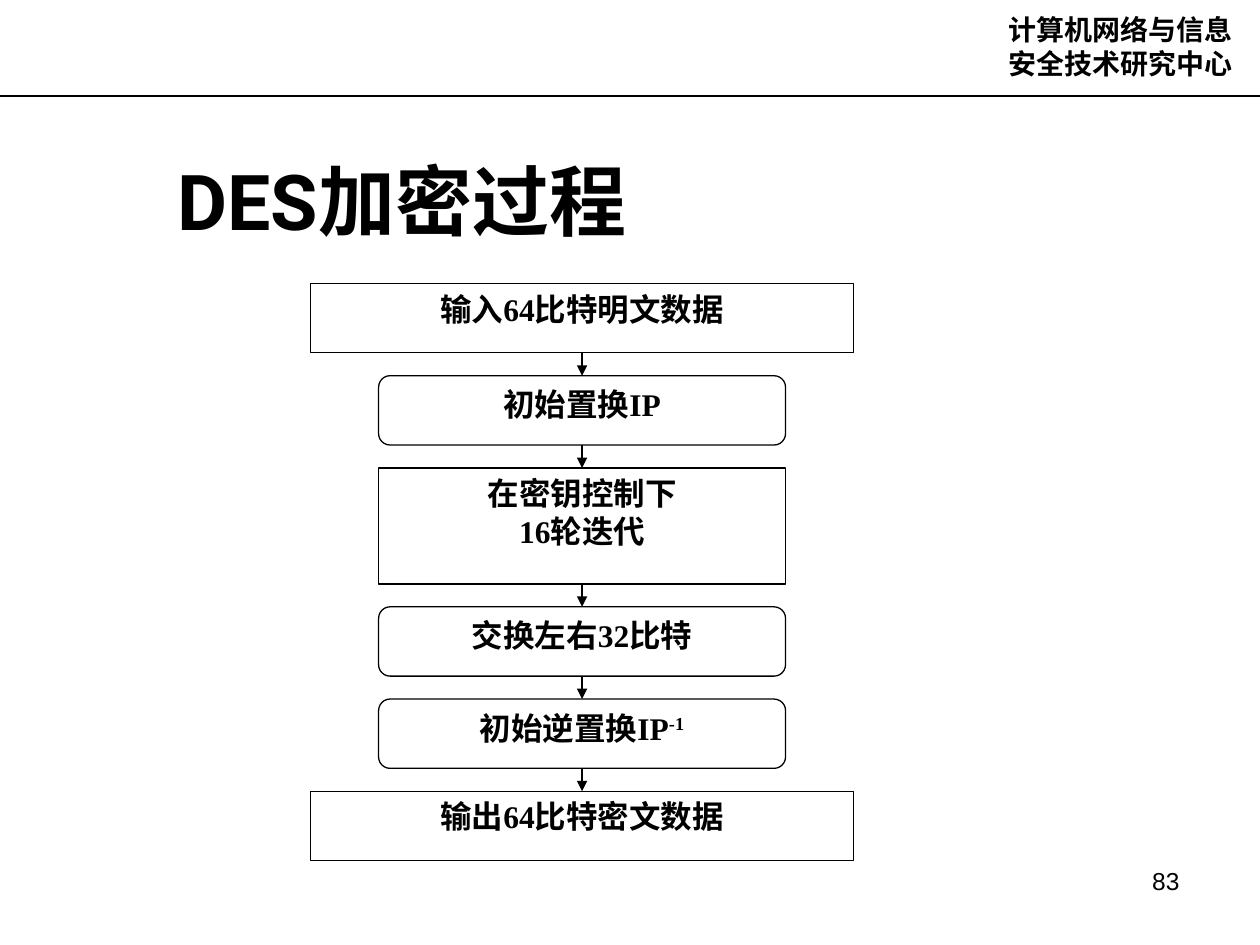
from dataclasses import dataclass

from lxml.etree import SubElement
from pptx import Presentation
from pptx.dml.color import RGBColor
from pptx.enum.shapes import MSO_CONNECTOR, MSO_SHAPE
from pptx.enum.text import MSO_ANCHOR, PP_ALIGN
from pptx.oxml.ns import qn
from pptx.util import Inches, Pt

# Content
CENTER_NAME = "计算机网络与信息安全技术研究中心"
TITLE = "DES加密过程"
PAGE_NUMBER = "83"
# Each step: kind, lines, superscript after the last line
STEPS = [
    ("data", ["输入64比特明文数据"], ""),
    ("permute", ["初始置换IP"], ""),
    ("rounds", ["在密钥控制下", "16轮迭代"], ""),
    ("permute", ["交换左右32比特"], ""),
    ("permute", ["初始逆置换IP"], "-1"),
    ("data", ["输出64比特密文数据"], ""),
]
# Each kind: preset shape, width, height
KINDS = {
    "data": (MSO_SHAPE.RECTANGLE, 4.31, 0.55),
    "permute": (MSO_SHAPE.ROUNDED_RECTANGLE, 3.23, 0.55),
    "rounds": (MSO_SHAPE.RECTANGLE, 3.23, 0.92),
}
FLOW_CENTER, FLOW_TOP, FLOW_BOTTOM = 4.62, 2.25, 6.83


@dataclass(frozen=True)
class Theme:
    ink: RGBColor = RGBColor(0, 0, 0)
    paper: RGBColor = RGBColor(255, 255, 255)
    title_font: str = "Roboto"
    step_font: str = "Times New Roman"
    plain_font: str = "Arial"
    title_size: int = 44
    step_size: int = 18
    header_size: int = 16
    page_size: int = 14
    rule: float = 1
    outline: float = 0.75


THEME = Theme()


def style_text(frame, font, size, bold=True, align=PP_ALIGN.LEFT):
    frame.word_wrap = True
    for paragraph in frame.paragraphs:
        paragraph.alignment = align
        for run in paragraph.runs:
            run.font.name = font
            run.font.size = Pt(size)
            run.font.bold = bold
            run.font.color.rgb = THEME.ink


def add_label(slide, box, text, anchor=MSO_ANCHOR.TOP, **style):
    frame = slide.shapes.add_textbox(*map(Inches, box)).text_frame
    frame.text = text
    frame.vertical_anchor = anchor
    style_text(frame, **style)


def add_line(slide, start, end, width, arrow=False):
    line = slide.shapes.add_connector(
        MSO_CONNECTOR.STRAIGHT, *map(Inches, (*start, *end)))
    line.line.color.rgb = THEME.ink
    line.line.width = Pt(width)
    if arrow:
        SubElement(line.line._get_or_add_ln(), qn("a:tailEnd"), type="triangle")
    SubElement(line._element.spPr, qn("a:effectLst"))


def add_step(slide, top, kind, lines, superscript):
    preset, width, height = KINDS[kind]
    step = slide.shapes.add_shape(
        preset, *map(Inches, (FLOW_CENTER - width / 2, top, width, height)))
    step.shadow.inherit = False
    step.fill.solid()
    step.fill.fore_color.rgb = THEME.paper
    step.line.color.rgb = THEME.ink
    step.line.width = Pt(THEME.outline)
    frame = step.text_frame
    frame.text = "\n".join(lines)
    frame.vertical_anchor = MSO_ANCHOR.TOP
    if superscript:
        exponent = frame.paragraphs[-1].add_run()
        exponent.text = superscript
        exponent._r.get_or_add_rPr().set("baseline", "30000")
    style_text(frame, THEME.step_font, THEME.step_size, align=PP_ALIGN.CENTER)


def main():
    prs = Presentation()
    prs.slide_width, prs.slide_height = Inches(10), Inches(7.5)
    slide = prs.slides.add_slide(prs.slide_layouts[6])

    # Header
    add_line(slide, (0, 0.76), (10, 0.76), THEME.rule)
    add_label(slide, (7.91, 0.05, 2.13, 0.64), CENTER_NAME,
              font=THEME.plain_font, size=THEME.header_size)

    # Flow chart: equal gaps between the steps, each bridged by an arrow
    heights = [KINDS[kind][2] for kind, _, _ in STEPS]
    gap = (FLOW_BOTTOM - FLOW_TOP - sum(heights)) / (len(STEPS) - 1)
    top = FLOW_TOP
    for index, (step, height) in enumerate(zip(STEPS, heights)):
        if index:
            add_line(slide, (FLOW_CENTER, top - gap), (FLOW_CENTER, top),
                     THEME.outline, arrow=True)
        add_step(slide, top, *step)
        top += height + gap

    # Title and page number
    add_label(slide, (1.31, 0.75, 4, 1.25), TITLE, MSO_ANCHOR.BOTTOM,
              font=THEME.title_font, size=THEME.title_size)
    add_label(slide, (7.13, 6.82, 2.33, 0.52), PAGE_NUMBER,
              font=THEME.plain_font, size=THEME.page_size, bold=False,
              align=PP_ALIGN.RIGHT)

    prs.save("out.pptx")


if __name__ == "__main__":
    main()
